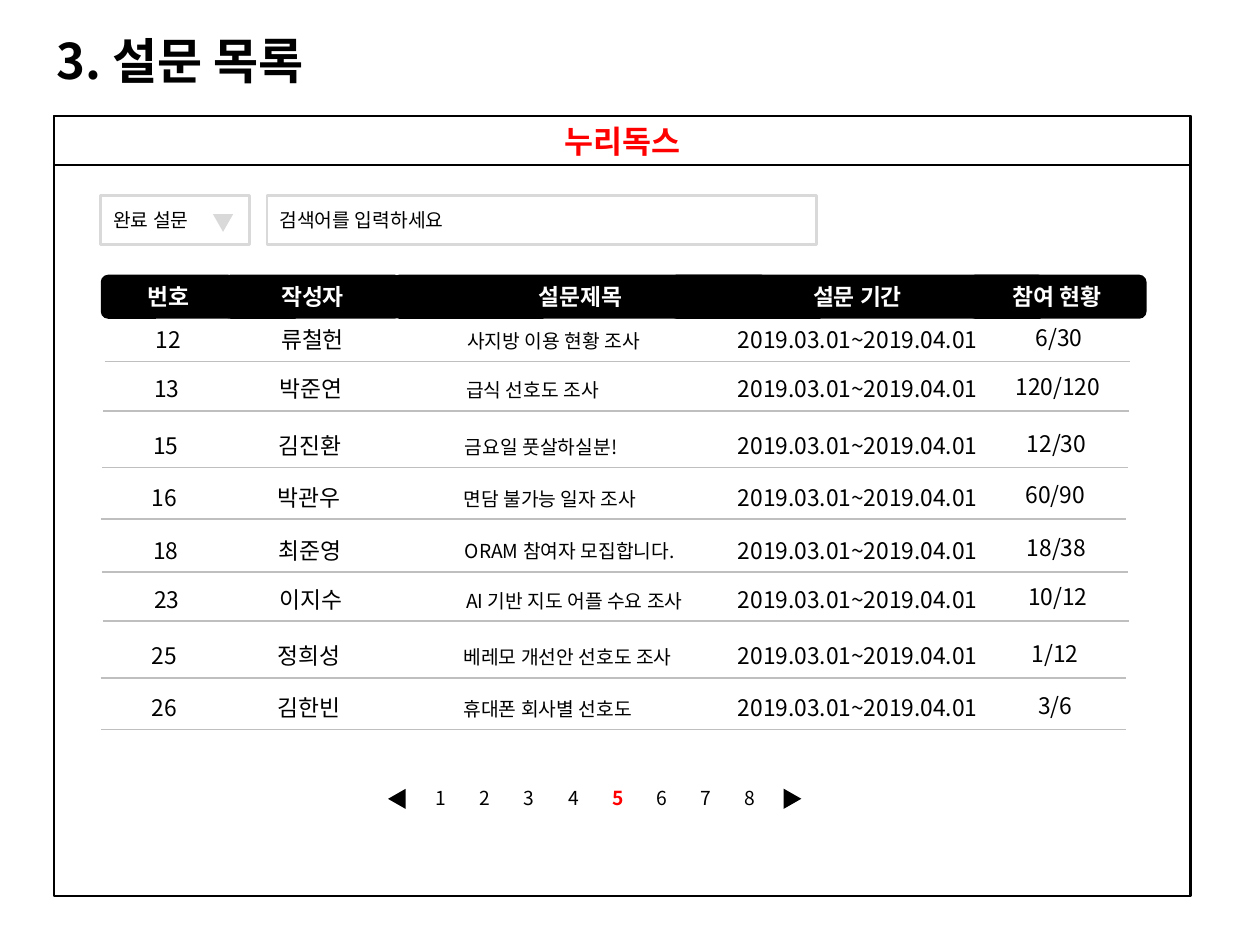
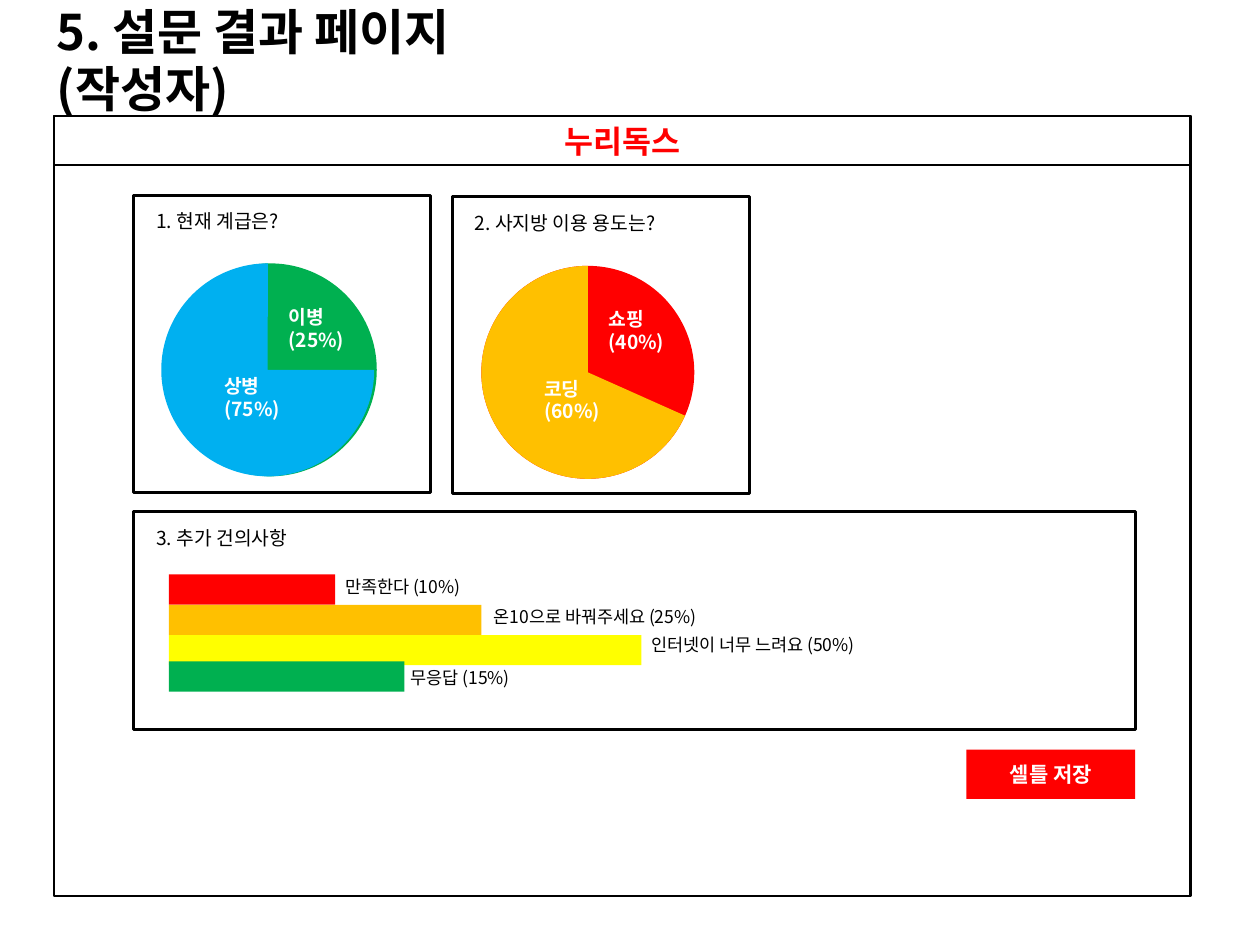
import pptx
import pptx.util
import pptx.dml.color
import pptx.enum.shapes
import pptx.enum.text
import pptx.oxml
import pptx.oxml.ns

Inches, Pt = pptx.util.Inches, pptx.util.Pt
SHAPE = pptx.enum.shapes.MSO_SHAPE
ALIGN = pptx.enum.text.PP_ALIGN
qn = pptx.oxml.ns.qn

FONT = "Noto Sans CJK KR"
SITE_NAME = "누리독스"
COLORS = {
    "black": "000000", "white": "FFFFFF", "red": "FF0000", "orange": "FFC000",
    "yellow": "FFFF00", "green": "00B050", "blue": "00B0F0",
    "field": "D9D9D9", "rule": "BFBFBF",
}


def color(name):
    return pptx.dml.color.RGBColor.from_string(COLORS[name])


def write(shape, text, size=11, ink="black", bold=False, align=ALIGN.LEFT, spacing=None):
    """Put one styled paragraph, vertically centred, into a shape."""
    frame_format = {
        "word_wrap": True,
        "auto_size": pptx.enum.text.MSO_AUTO_SIZE.NONE,
        "vertical_anchor": pptx.enum.text.MSO_ANCHOR.MIDDLE,
    }
    for name, value in frame_format.items():
        setattr(shape.text_frame, name, value)
    paragraph = shape.text_frame.paragraphs[0]
    paragraph.alignment = align
    paragraph.line_spacing = spacing or 1.0
    run = paragraph.add_run()
    run.text = text
    run.font.color.rgb = color(ink)
    for name, value in {"name": FONT, "size": Pt(size), "bold": bold}.items():
        setattr(run.font, name, value)
    east_asian = pptx.oxml.parse_xml(
        f'<a:ea {pptx.oxml.ns.nsdecls("a")} typeface="{FONT}"/>')
    run.font._element.append(east_asian)
    return paragraph


def draw(slide, kind, box, fill=None, line=None):
    """Add a flat preset shape, or a text box when kind is None."""
    box = [Inches(value) for value in box]
    if kind is None:
        return slide.shapes.add_textbox(*box)
    shape = slide.shapes.add_shape(kind, *box)
    shape.shadow.inherit = False
    if fill:
        shape.fill.solid()
        shape.fill.fore_color.rgb = color(fill)
    else:
        shape.fill.background()
    if line:
        shape.line.color.rgb = color(line)
        shape.line.width = Pt(1.5)
    else:
        shape.line.fill.background()
    return shape


deck = pptx.Presentation()
deck.slide_width, deck.slide_height = Inches(10), Inches(7.5)

# Shared page: title, window frame and site banner
pages = []
for heading, heading_width, spacing in [
    ("3. 설문 목록", 3.24, None),
    ("5. 설문 결과 페이지 (작성자)", 4.38, Pt(33)),
]:
    page = deck.slides.add_slide(deck.slide_layouts[5])
    title = page.shapes.title
    place = {"left": 0.35, "top": 0.21, "width": heading_width, "height": 0.53}
    for name, value in place.items():
        setattr(title, name, Inches(value))
    write(title, heading, 28, bold=True, spacing=spacing)
    draw(page, SHAPE.RECTANGLE, (0.43, 0.92, 9.02, 6.19), line="black")
    banner = draw(page, SHAPE.RECTANGLE, (0.43, 0.92, 9.02, 0.39), line="black")
    write(banner, SITE_NAME, 18, "red", True, ALIGN.CENTER)
    pages.append(page)
survey_list, survey_result = pages

# Survey list: filter and search fields
for left, width, label in [(0.8, 1.18, "완료 설문"), (2.12, 4.36, "검색어를 입력하세요")]:
    field = draw(survey_list, SHAPE.RECTANGLE, (left, 1.55, width, 0.39), line="field")
    write(field, label)

# Survey list: dropdown, next and previous arrows
for left, top, rotation, fill in [
    (1.69, 1.7, 180, "field"),
    (6.21, 6.27, 90, "black"),
    (3.07, 6.27, 270, "black"),
]:
    arrow = draw(survey_list, SHAPE.ISOSCELES_TRIANGLE, (left, top, 0.16, 0.14), fill)
    arrow.rotation = rotation

# Survey list: column headers
for left, width, label in [
    (0.8, 1.07, "번호"), (1.77, 1.42, "작성자"), (3.11, 2.99, "설문제목"),
    (5.31, 2.99, "설문 기간"), (7.68, 1.42, "참여 현황"),
]:
    header = draw(survey_list, SHAPE.ROUNDED_RECTANGLE, (left, 2.18, width, 0.35), "black")
    write(header, label, 13, "white", True, ALIGN.CENTER)

# Survey list: rows as top, sideways shift, number, author, subject, turnout
PERIOD = "2019.03.01~2019.04.01"
for top, shift, number, author, subject, turnout in [
    (2.52, 0, "12", "류철헌", "사지방 이용 현황 조사", "6/30"),
    (2.91, -0.01, "13", "박준연", "급식 선호도 조사", "120/120"),
    (3.36, -0.02, "15", "김진환", "금요일 풋살하실분!", "12/30"),
    (3.77, -0.03, "16", "박관우", "면담 불가능 일자 조사", "60/90"),
    (4.19, -0.02, "18", "최준영", "ORAM 참여자 모집합니다.", "18/38"),
    (4.58, -0.01, "23", "이지수", "AI 기반 지도 어플 수요 조사", "10/12"),
    (5.03, -0.03, "25", "정희성", "베레모 개선안 선호도 조사", "1/12"),
    (5.44, -0.03, "26", "김한빈", "휴대폰 회사별 선호도", "3/6"),
]:
    for left, cell_top, width, text in [
        (0.8 + shift, top, 1.07, number),
        (1.77 + shift, top, 1.42, author),
        (5.31, top, 2.99, PERIOD),
        (7.87 + shift, top - 0.02, 1.07, turnout),
    ]:
        cell = draw(survey_list, None, (left, cell_top, width, 0.35))
        write(cell, text, 13, align=ALIGN.CENTER)
    subject_cell = draw(survey_list, None, (3.11 + shift, top + 0.01, 2.99, 0.35))
    indented = write(subject_cell, subject)
    indented.level = 1
    indented._p.get_or_add_pPr().set("marL", str(Inches(0.5)))

    rule_left, rule_top = Inches(0.83 + shift), Inches(top + 0.35)
    rule = survey_list.shapes.add_connector(
        pptx.enum.shapes.MSO_CONNECTOR.STRAIGHT,
        rule_left, rule_top, rule_left + Inches(8.14), rule_top)
    rule.line.color.rgb = color("rule")
    rule.line.width = Pt(1)
    rule._element.spPr.append(rule._element.makeelement(qn("a:effectLst"), {}))

# Survey list: page numbers
CURRENT_PAGE = 5
for number in range(1, 9):
    current = number == CURRENT_PAGE
    page_link = draw(survey_list, None, (3.01 + 0.35 * number, 6.18, 0.35, 0.31))
    write(page_link, str(number), ink="red" if current else "black", bold=current)

# Survey result: question panels
for left, top, width, height, question, question_width in [
    (1.06, 1.55, 2.36, 2.36, "1. 현재 계급은?", 1.42),
    (3.59, 1.56, 2.36, 2.36, "2. 사지방 이용 용도는?", 1.83),
    (1.06, 4.06, 7.95, 1.73, "3. 추가 건의사항", 1.89),
]:
    draw(survey_result, SHAPE.RECTANGLE, (left, top, width, height), line="black")
    prompt = draw(survey_result, None, (left + 0.08, top + 0.01, question_width, 0.39))
    write(prompt, question)

# Survey result: answer shares as a disc under a pie sector
for disc_left, sector_left, top, disc_fill, sector_fill, start, major, minor in [
    (1.3, 1.28, 2.09, "green", "blue", 0, "상병 (75%)", "이병 (25%)"),
    (3.82, 3.82, 2.11, "red", "orange", 14.43, "코딩 (60%)", "쇼핑 (40%)"),
]:
    draw(survey_result, SHAPE.OVAL, (disc_left, top, 1.69, 1.69), disc_fill)
    sector = draw(survey_result, SHAPE.PIE, (sector_left, top, 1.69, 1.69), sector_fill)
    sector.adjustments[0] = start
    sector.adjustments[1] = 162
    for dx, dy, width, answer in [(0.4, 0.87, 0.87, major), (0.91, 0.32, 0.91, minor)]:
        share = draw(survey_result, None, (sector_left + dx, top + dy, width, 0.39))
        write(share, answer, ink="white", bold=True, spacing=Pt(13))

# Survey result: suggestion bars with their labels
for top, length, fill, label_left, label_top, label_width, suggestion in [
    (4.56, 1.32, "red", 2.64, 4.46, 1.65, "만족한다 (10%)"),
    (4.8, 2.48, "orange", 3.82, 4.7, 2.08, "온10으로 바꿔주세요 (25%)"),
    (5.04, 3.75, "yellow", 5.07, 4.92, 2.37, "인터넷이 너무 느려요 (50%)"),
    (5.25, 1.87, "green", 3.16, 5.18, 1.65, "무응답 (15%)"),
]:
    draw(survey_result, SHAPE.RECTANGLE, (1.34, top, length, 0.24), fill)
    label = draw(survey_result, None, (label_left, label_top, label_width, 0.39))
    write(label, suggestion, 10)

# Survey result: export button
export = draw(survey_result, SHAPE.RECTANGLE, (7.67, 5.95, 1.34, 0.39), "red")
write(export, "셀틀 저장", 12, "white", True, ALIGN.CENTER)

deck.save("out.pptx")
